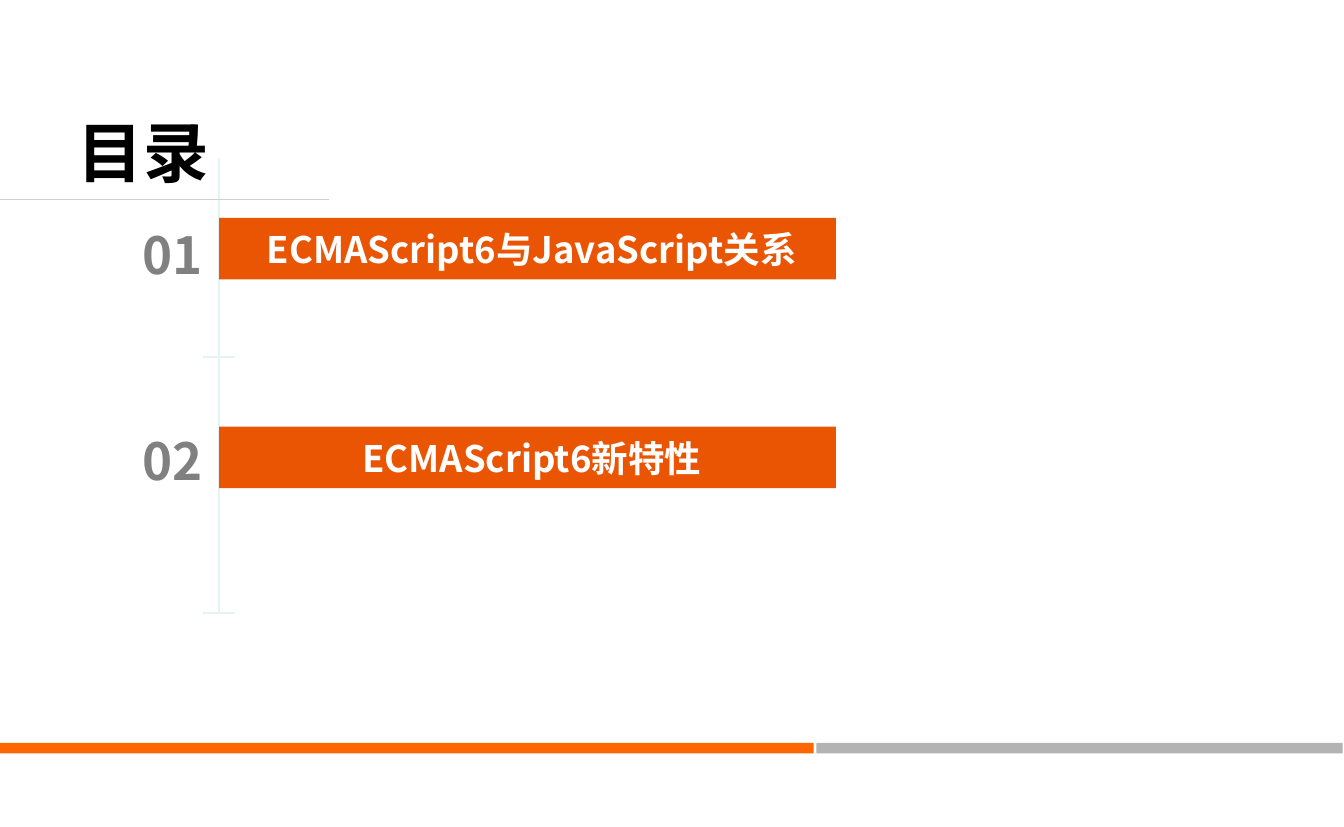
from dataclasses import dataclass

from lxml import etree
from pptx import Presentation
from pptx.dml.color import RGBColor
from pptx.enum.shapes import MSO_CONNECTOR, MSO_SHAPE
from pptx.enum.text import MSO_ANCHOR, MSO_AUTO_SIZE, PP_ALIGN
from pptx.oxml.ns import qn
from pptx.shapes.autoshape import Shape
from pptx.slide import Slide
from pptx.util import Inches, Pt

RECTANGLE = MSO_SHAPE.RECTANGLE
STRAIGHT = MSO_CONNECTOR.STRAIGHT
TOP, MIDDLE = MSO_ANCHOR.TOP, MSO_ANCHOR.MIDDLE
LEFT, CENTER, RIGHT = PP_ALIGN.LEFT, PP_ALIGN.CENTER, PP_ALIGN.RIGHT
GROW, FIXED = MSO_AUTO_SIZE.SHAPE_TO_FIT_TEXT, MSO_AUTO_SIZE.NONE

BLACK = RGBColor(0x00, 0x00, 0x00)
WHITE = RGBColor(0xFF, 0xFF, 0xFF)
NUMBER_GRAY = RGBColor(0x80, 0x80, 0x80)
BAR_ORANGE = RGBColor(0xEA, 0x55, 0x04)
FOOTER_ORANGE = RGBColor(0xFF, 0x66, 0x00)
FOOTER_GRAY = RGBColor(0xB3, 0xB3, 0xB3)
TIMELINE_BLUE = RGBColor(0xE4, 0xF3, 0xF4)
RULE_GRAY = RGBColor(0xCF, 0xCF, 0xCF)

FONT = "Noto Sans CJK SC"
TIMELINE_X = 1.67
TIMELINE_BOTTOM = 4.67
TICK_REACH = 0.12


@dataclass
class Entry:
    number: str
    topic: str
    number_top: float
    bar_top: float


@dataclass
class Line:
    start: tuple[float, float]
    end: tuple[float, float]
    color: RGBColor


@dataclass
class Band:
    left: float
    width: float
    color: RGBColor


ENTRIES = [
    Entry("01", " ECMAScript6与JavaScript关系", 1.56, 1.66),
    Entry("02", " ECMAScript6新特性", 3.13, 3.25),
]
TICKS = [
    Line((TIMELINE_X - TICK_REACH, y), (TIMELINE_X + TICK_REACH, y), TIMELINE_BLUE)
    for y in (2.72, TIMELINE_BOTTOM)
]
LINES = [
    Line((TIMELINE_X, 1.2), (TIMELINE_X, TIMELINE_BOTTOM), TIMELINE_BLUE),
    *TICKS,
    Line((0, 1.52), (2.51, 1.52), RULE_GRAY),
]
BANDS = [Band(0, 6.2, FOOTER_ORANGE), Band(6.22, 4.01, FOOTER_GRAY)]


def add_bar(page: Slide, left: float, top: float, width: float, height: float,
            color: RGBColor) -> Shape:
    bar = page.shapes.add_shape(
        RECTANGLE, Inches(left), Inches(top), Inches(width), Inches(height))
    bar.shadow.inherit = False
    bar.fill.solid()
    bar.fill.fore_color.rgb = color
    bar.line.fill.background()
    return bar


def add_line(page: Slide, line: Line) -> None:
    points = [Inches(value) for value in (*line.start, *line.end)]
    connector = page.shapes.add_connector(STRAIGHT, *points)
    connector.line.color.rgb = line.color
    connector.line.width = Pt(1)
    properties = connector._element.find(qn("p:spPr"))
    etree.SubElement(properties, qn("a:effectLst"))


def write(box: Shape, text: str, size: int, color: RGBColor, align: PP_ALIGN,
          spacing: float = 1.0, **frame_format: object) -> None:
    frame = box.text_frame
    for name, value in {"word_wrap": True, **frame_format}.items():
        setattr(frame, name, value)
    para = frame.paragraphs[0]
    para.alignment = align
    para.line_spacing = spacing
    span = para.add_run()
    span.text = text
    for name, value in {"name": FONT, "size": Pt(size), "bold": True}.items():
        setattr(span.font, name, value)
    span.font.color.rgb = color
    east_asian = etree.SubElement(span.font._element, qn("a:ea"))
    east_asian.set("typeface", FONT)


def add_entry(page: Slide, entry: Entry) -> None:
    number = page.shapes.add_textbox(
        Inches(0.62), Inches(entry.number_top), Inches(1.02), Inches(0.66))
    write(number, entry.number, 28, NUMBER_GRAY, RIGHT, 1.2, auto_size=GROW)
    bar = add_bar(page, TIMELINE_X, entry.bar_top, 4.7, 0.47, BAR_ORANGE)
    write(bar, entry.topic, 20, WHITE, CENTER, vertical_anchor=MIDDLE)


def main() -> None:
    deck = Presentation()
    deck.slide_width, deck.slide_height = Inches(10.24), Inches(6.3)
    page = deck.slides.add_slide(deck.slide_layouts[5])

    # Footer bands
    for band in BANDS:
        add_bar(page, band.left, 5.66, band.width, 0.08, band.color)

    # Timeline and title rule
    for line in LINES:
        add_line(page, line)

    # Contents entries
    for entry in ENTRIES:
        add_entry(page, entry)

    # Title
    title = page.shapes.title
    place = {"left": 0.49, "top": 0.85, "width": 1.29, "height": 0.59}
    for name, value in place.items():
        setattr(title, name, Inches(value))
    write(title, "目录", 36, BLACK, LEFT, vertical_anchor=TOP,
          auto_size=FIXED, margin_top=0, margin_bottom=0)

    deck.save("out.pptx")


if __name__ == "__main__":
    main()
